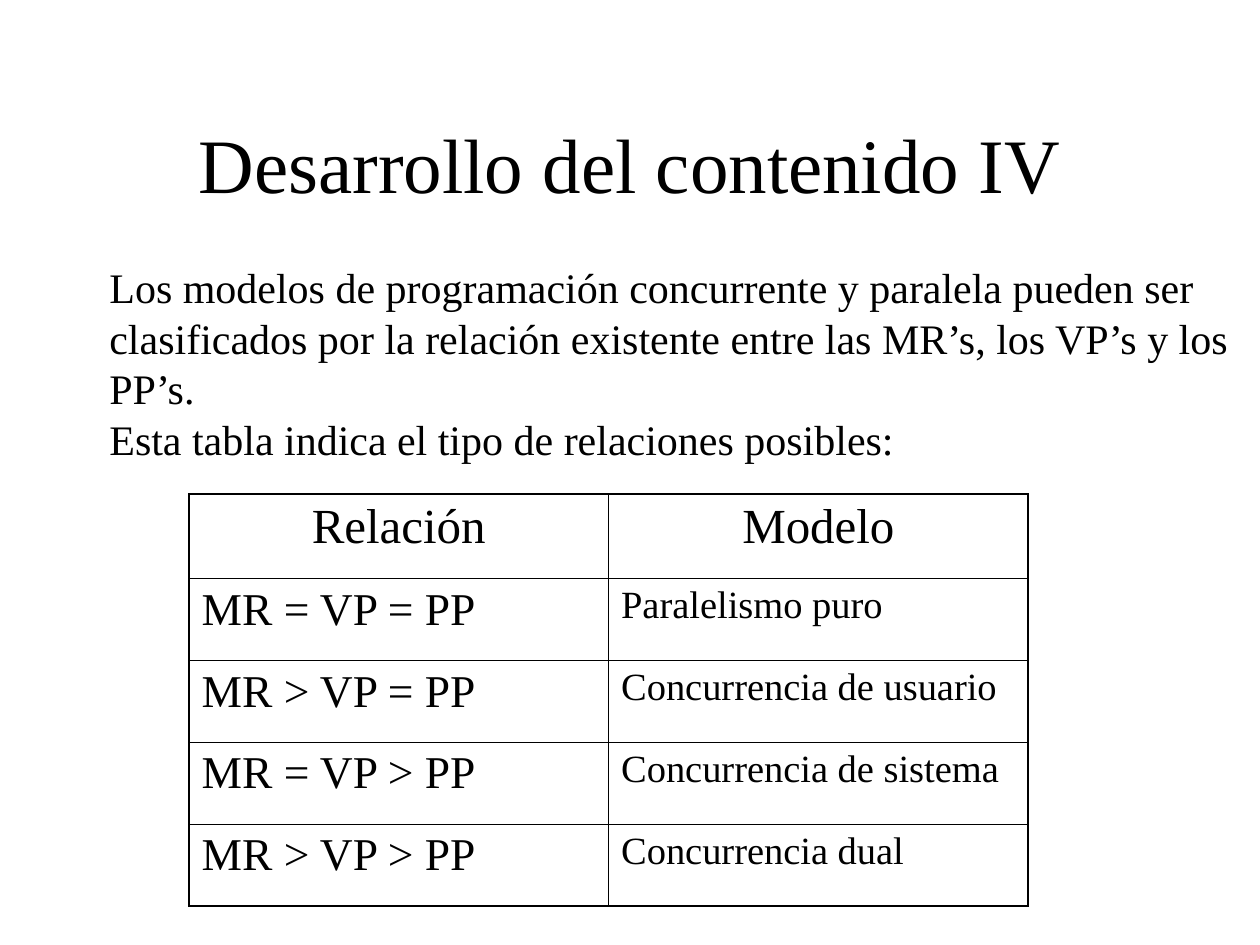
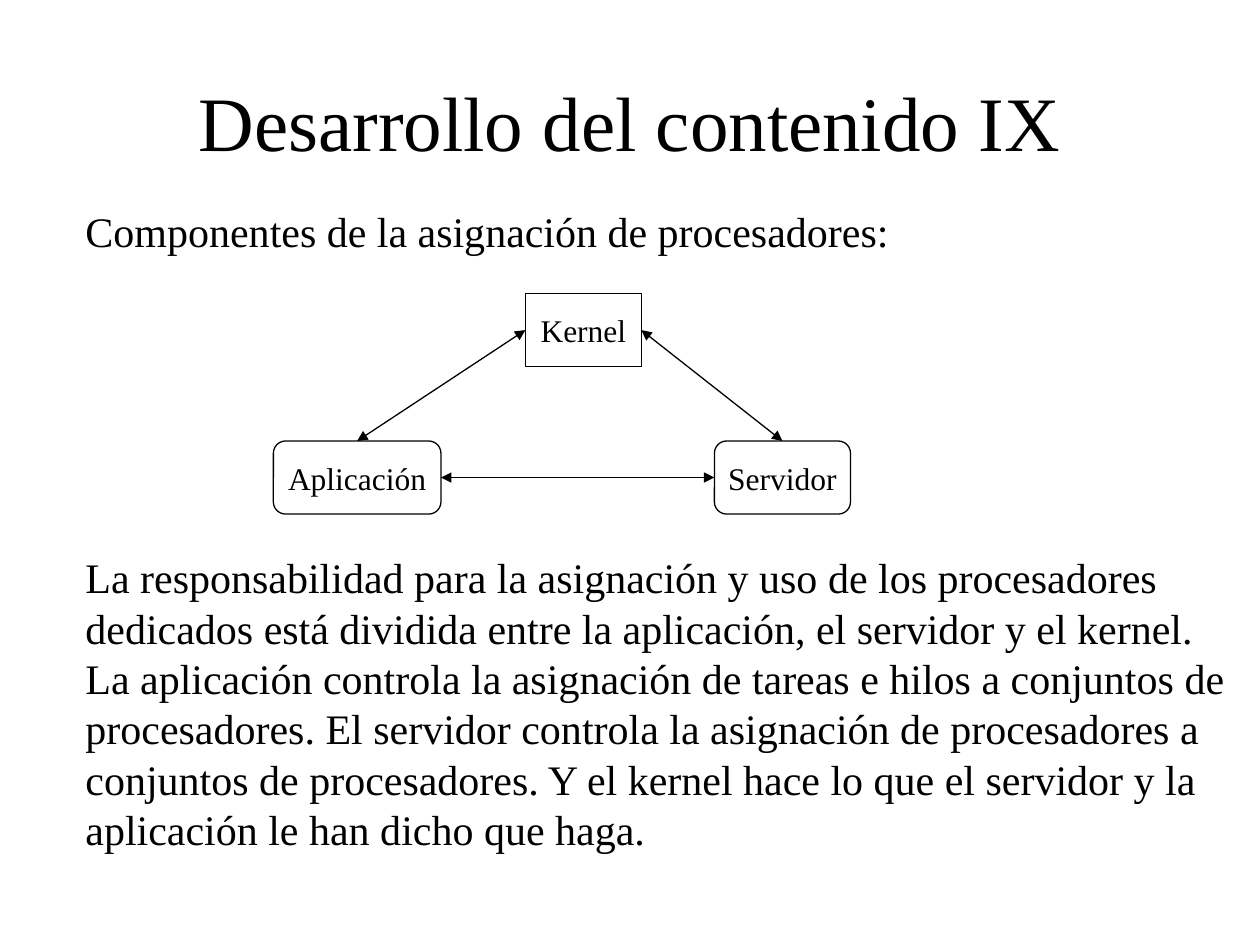
from lxml import etree
from pptx import Presentation
from pptx.dml.color import RGBColor
from pptx.enum.shapes import MSO_CONNECTOR, MSO_SHAPE
from pptx.enum.text import MSO_ANCHOR, PP_ALIGN
from pptx.oxml.ns import qn
from pptx.util import Inches, Pt

BLACK = RGBColor(0x00, 0x00, 0x00)
WHITE = RGBColor(0xFF, 0xFF, 0xFF)
FONT = "Times New Roman"
TITLE_SIZE, BODY_SIZE, NODE_SIZE = 44, 24, 18
THIN, THICK = 0.45, 1.08
TOP, LEFT, BOTTOM, RIGHT = range(4)  # connection sites of a box


def write(frame, lines, size, align=PP_ALIGN.LEFT, space_before=0):
    """Fill a text frame with one paragraph per line."""
    for index, line in enumerate(lines):
        para = frame.paragraphs[0] if index == 0 else frame.add_paragraph()
        para.alignment = align
        para.space_before = Pt(space_before)
        span = para.add_run()
        span.text = line
        span.font.name = FONT
        span.font.size = Pt(size)
        span.font.color.rgb = BLACK


def add_page(title_text, title_top, texts):
    """Add a slide with its title and its (left, top, width, height, lines) texts."""
    page = deck.slides.add_slide(deck.slide_layouts[5])
    page.background.fill.solid()
    page.background.fill.fore_color.rgb = WHITE
    title = page.shapes.title
    title.left, title.top = Inches(0.75), Inches(title_top)
    title.width, title.height = Inches(8.5), Inches(1.25)
    title.text_frame.vertical_anchor = MSO_ANCHOR.MIDDLE
    write(title.text_frame, [title_text], TITLE_SIZE, PP_ALIGN.CENTER)
    for *place, lines in texts:
        box = page.shapes.add_textbox(*[Inches(length) for length in place])
        box.text_frame.word_wrap = False
        write(box.text_frame, lines, BODY_SIZE)
    return page


deck = Presentation()
deck.slide_width, deck.slide_height = Inches(10), Inches(7.5)

# Slide 1: relations and models
page = add_page("Desarrollo del contenido IV", 0.67, [
    (0.77, 2.03, 9.1, 1.7, [
        "Los modelos de programación concurrente y paralela pueden ser",
        "clasificados por la relación existente entre las MR’s, los VP’s y los",
        "PP’s.",
        "Esta tabla indica el tipo de relaciones posibles:",
    ]),
])

models = [
    ("Relación", "Modelo"),
    ("MR = VP = PP", "Paralelismo puro"),
    ("MR > VP = PP", "Concurrencia de usuario"),
    ("MR = VP > PP", "Concurrencia de sistema"),
    ("MR > VP > PP", "Concurrencia dual"),
]
last_row = len(models) - 1
table = page.shapes.add_table(
    len(models), 2, Inches(1.5), Inches(3.92), Inches(6.67), Inches(3.27)
).table
table.first_row = table.horz_banding = False
for column in table.columns:
    column.width = Inches(3.33)

for row, texts in enumerate(models):
    table.rows[row].height = Inches(0.67 if row == 0 else 0.65)
    for col, text in enumerate(texts):
        cell = table.cell(row, col)
        size = 28 if row == 0 else (26, 22)[col]
        align = PP_ALIGN.CENTER if row == 0 else PP_ALIGN.LEFT
        write(cell.text_frame, [text], size, align, space_before=size / 4)

        # Thick frame around the table, thin lines inside
        outer_edges = {"lnL": col == 0, "lnR": col == 1,
                       "lnT": row == 0, "lnB": row == last_row}
        properties = cell._tc.get_or_add_tcPr()
        for edge, is_outer in outer_edges.items():
            border = etree.SubElement(properties, qn(f"a:{edge}"))
            border.set("w", str(Pt(THICK if is_outer else THIN)))
            fill = etree.SubElement(border, qn("a:solidFill"))
            etree.SubElement(fill, qn("a:srgbClr")).set("val", str(BLACK))
        cell.fill.background()

# Slide 2: components of processor allocation
page = add_page("Desarrollo del contenido IX", 0.33, [
    (0.58, 1.58, 6.58, 0.5, ["Componentes de la asignación de procesadores:"]),
    (0.58, 4.33, 9.24, 2.5, [
        "La responsabilidad para la asignación y uso de los procesadores",
        "dedicados está dividida entre la aplicación, el servidor y el kernel.",
        "La aplicación controla la asignación de tareas e hilos a conjuntos de",
        "procesadores. El servidor controla la asignación de procesadores a",
        "conjuntos de procesadores. Y el kernel hace lo que el servidor y la",
        "aplicación le han dicho que haga.",
    ]),
])

# Component boxes
components = {}
for name, kind, left, top, width in [
    ("Kernel", MSO_SHAPE.RECTANGLE, 4.17, 2.33, 0.92),
    ("Aplicación", MSO_SHAPE.ROUNDED_RECTANGLE, 2.17, 3.5, 1.33),
    ("Servidor", MSO_SHAPE.ROUNDED_RECTANGLE, 5.67, 3.5, 1.08),
]:
    box = page.shapes.add_shape(
        kind, Inches(left), Inches(top), Inches(width), Inches(0.58))
    box.shadow.inherit = False
    box.fill.background()
    box.line.color.rgb = BLACK
    box.line.width = Pt(0.75)
    box.text_frame.word_wrap = False
    box.text_frame.vertical_anchor = MSO_ANCHOR.MIDDLE
    write(box.text_frame, [name], NODE_SIZE, PP_ALIGN.CENTER)
    components[name] = box

# Two-way arrows between the components
for start, start_site, end, end_site in [
    ("Aplicación", RIGHT, "Servidor", LEFT),
    ("Aplicación", TOP, "Kernel", LEFT),
    ("Servidor", TOP, "Kernel", RIGHT),
]:
    arrow = page.shapes.add_connector(MSO_CONNECTOR.STRAIGHT, 0, 0, 0, 0)
    arrow.begin_connect(components[start], start_site)
    arrow.end_connect(components[end], end_site)
    arrow.line.color.rgb = BLACK
    arrow.line.width = Pt(0.75)
    for tip in ("headEnd", "tailEnd"):
        etree.SubElement(arrow.line._get_or_add_ln(), qn(f"a:{tip}")).set("type", "triangle")
    etree.SubElement(arrow._element.spPr, qn("a:effectLst"))

deck.save("out.pptx")
